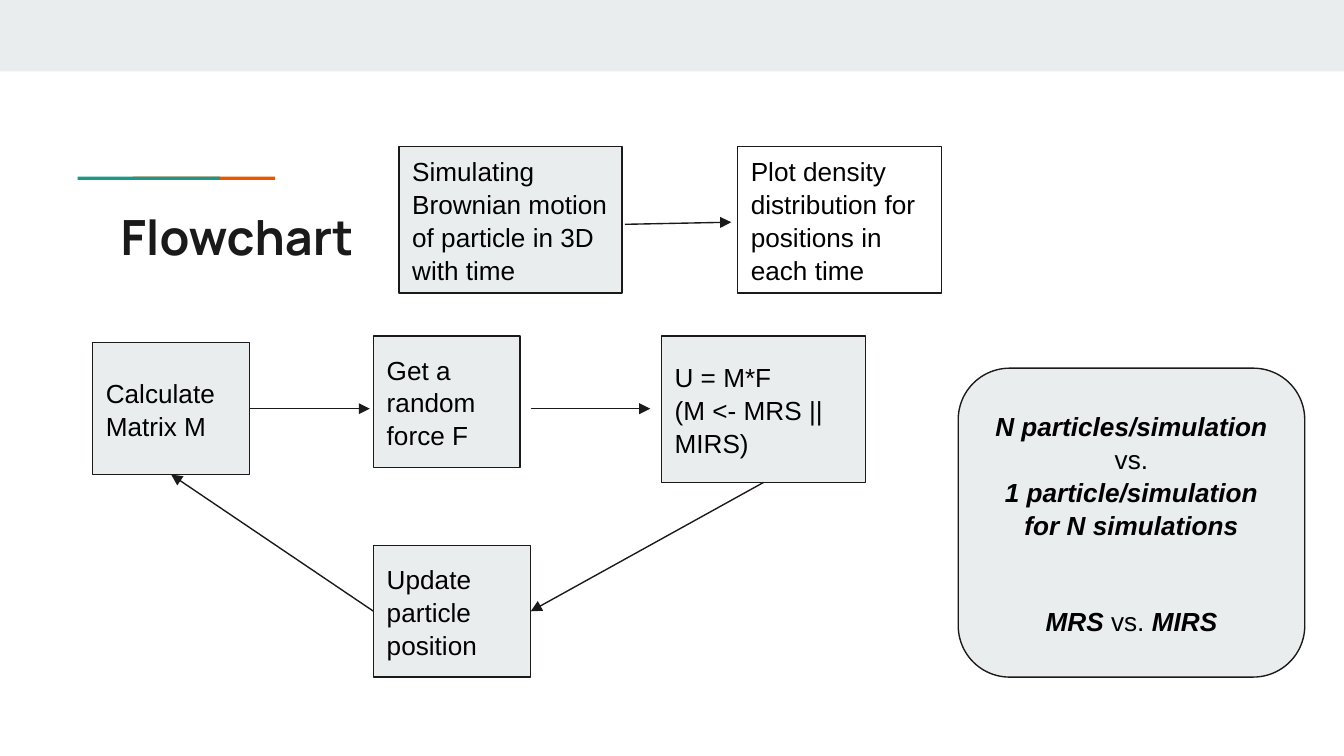
from dataclasses import dataclass

from lxml import etree
from pptx import Presentation
from pptx.dml.color import RGBColor
from pptx.enum.shapes import MSO_CONNECTOR, MSO_SHAPE
from pptx.enum.text import MSO_ANCHOR, PP_ALIGN
from pptx.oxml.ns import qn
from pptx.util import Cm, Pt

RECT, ROUNDED = MSO_SHAPE.RECTANGLE, MSO_SHAPE.ROUNDED_RECTANGLE
STRAIGHT = MSO_CONNECTOR.STRAIGHT
MIDDLE, TOP = MSO_ANCHOR.MIDDLE, MSO_ANCHOR.TOP
LEFT, CENTER = PP_ALIGN.LEFT, PP_ALIGN.CENTER

INK = RGBColor(0x1A, 0x1A, 0x1A)
BLACK = RGBColor(0, 0, 0)
WHITE = RGBColor(0xFF, 0xFF, 0xFF)
MIST = RGBColor(0xE9, 0xED, 0xEE)
TEAL = RGBColor(0x1A, 0x99, 0x88)
ORANGE = RGBColor(0xEB, 0x56, 0x00)

Point = tuple[float, float]


@dataclass(frozen=True)
class Box:
    """A rectangle in centimetres."""
    left: float
    top: float
    width: float
    height: float

    def at(self, across: float, down: float) -> Point:
        return self.left + across * self.width, self.top + down * self.height

    def lengths(self) -> list[Cm]:
        return [Cm(v) for v in (self.left, self.top, self.width, self.height)]


@dataclass(frozen=True)
class Step:
    box: Box
    lines: tuple[str, ...]
    fill: RGBColor = MIST


def add_panel(slide, box: Box, fill: RGBColor, kind=RECT, outlined: bool = False):
    panel = slide.shapes.add_shape(kind, *box.lengths())
    panel.shadow.inherit = False
    panel.fill.solid()
    panel.fill.fore_color.rgb = fill
    if outlined:
        panel.line.color.rgb = INK
        panel.line.width = Pt(0.75)
    else:
        panel.line.fill.background()
    return panel


def prepare_frame(frame, anchor) -> None:
    frame.word_wrap = True
    frame.vertical_anchor = anchor
    frame.margin_left = frame.margin_right = Cm(0.25)
    frame.margin_top = frame.margin_bottom = Cm(0.25)


def style_font(font, name: str = "Arial", size: float = 14,
               color: RGBColor = BLACK) -> None:
    font.name, font.size, font.color.rgb = name, Pt(size), color


def add_step(slide, step: Step) -> None:
    frame = add_panel(slide, step.box, step.fill, outlined=True).text_frame
    prepare_frame(frame, MIDDLE)
    frame.text = "\n".join(step.lines)
    for paragraph in frame.paragraphs:
        paragraph.alignment = LEFT
        paragraph.line_spacing = 1.05
        for run in paragraph.runs:
            style_font(run.font)


def add_arrow(slide, start: Point, end: Point) -> None:
    arrow = slide.shapes.add_connector(STRAIGHT, *(Cm(v) for v in start + end))
    arrow.line.color.rgb = INK
    arrow.line.width = Pt(0.75)
    etree.SubElement(arrow.line._get_or_add_ln(), qn("a:tailEnd"), type="triangle")
    etree.SubElement(arrow._element.spPr, qn("a:effectLst"))


def add_comparison(slide, box: Box, lines) -> None:
    """Each line is (space before in points, ((text, emphasised), ...))."""
    frame = add_panel(slide, box, MIST, ROUNDED, outlined=True).text_frame
    prepare_frame(frame, MIDDLE)
    for index, (space, pieces) in enumerate(lines):
        paragraph = frame.add_paragraph() if index else frame.paragraphs[0]
        paragraph.alignment = CENTER
        paragraph.line_spacing = 1.05
        paragraph.space_before = Pt(space)
        for text, emphasised in pieces:
            run = paragraph.add_run()
            run.text = text
            style_font(run.font)
            run.font.bold = run.font.italic = emphasised


def main() -> None:
    deck = Presentation()
    deck.slide_width, deck.slide_height = Cm(25.4), Cm(14.29)
    slide = deck.slides.add_slide(deck.slide_layouts[6])

    # Top band and accent line, teal overlapping orange
    add_panel(slide, Box(0, 0, 25.4, 1.35), MIST)
    for left, color in ((2.51, ORANGE), (1.47, TEAL)):
        add_panel(slide, Box(left, 3.34, 2.69, 0.06), color)

    # Title
    title = slide.shapes.add_textbox(*Box(2.03, 3.66, 21.36, 1.5).lengths())
    prepare_frame(title.text_frame, TOP)
    title.text_frame.text = "Flowchart"
    title_font = title.text_frame.paragraphs[0].runs[0].font
    style_font(title_font, "Manrope", 26, INK)
    title_font.bold = True

    # Flowchart steps
    matrix = Box(1.75, 6.48, 2.97, 2.49)
    force = Box(7.06, 6.35, 2.77, 2.49)
    velocity = Box(12.5, 6.35, 3.86, 2.77)
    position = Box(7.06, 10.31, 2.97, 2.49)
    simulation = Box(7.54, 2.77, 4.22, 2.77)
    density = Box(13.94, 2.77, 3.86, 2.77)
    for step in (
        Step(matrix, ("Calculate Matrix M",)),
        Step(force, ("Get a random force F",)),
        Step(velocity, ("U = M*F", "(M <- MRS || MIRS)")),
        Step(simulation, ("Simulating Brownian motion of particle in 3D with time",)),
        Step(density, ("Plot density distribution for positions in each time",), WHITE),
        Step(position, ("Update particle position",)),
    ):
        add_step(slide, step)

    # Arrows between steps
    row = matrix.at(1, 0.5)[1]
    for start, end in (
        (matrix.at(1, 0.5), (6.99, row)),
        ((10.03, row), (12.29, row)),
        (velocity.at(0.5, 1), position.at(1, 0.5)),
        (position.at(0, 0.5), matrix.at(0.5, 1)),
        ((11.81, 4.24), (13.82, 4.2)),
    ):
        add_arrow(slide, start, end)

    # Comparison panel
    add_comparison(slide, Box(18.11, 6.96, 6.55, 5.84), (
        (0, (("N particles/simulation", True), (" vs.", False))),
        (0, (("1 particle/simulation for N simulations", True),)),
        (34, (("MRS", True), (" vs. ", False), ("MIRS", True))),
    ))

    deck.save("out.pptx")


if __name__ == "__main__":
    main()
